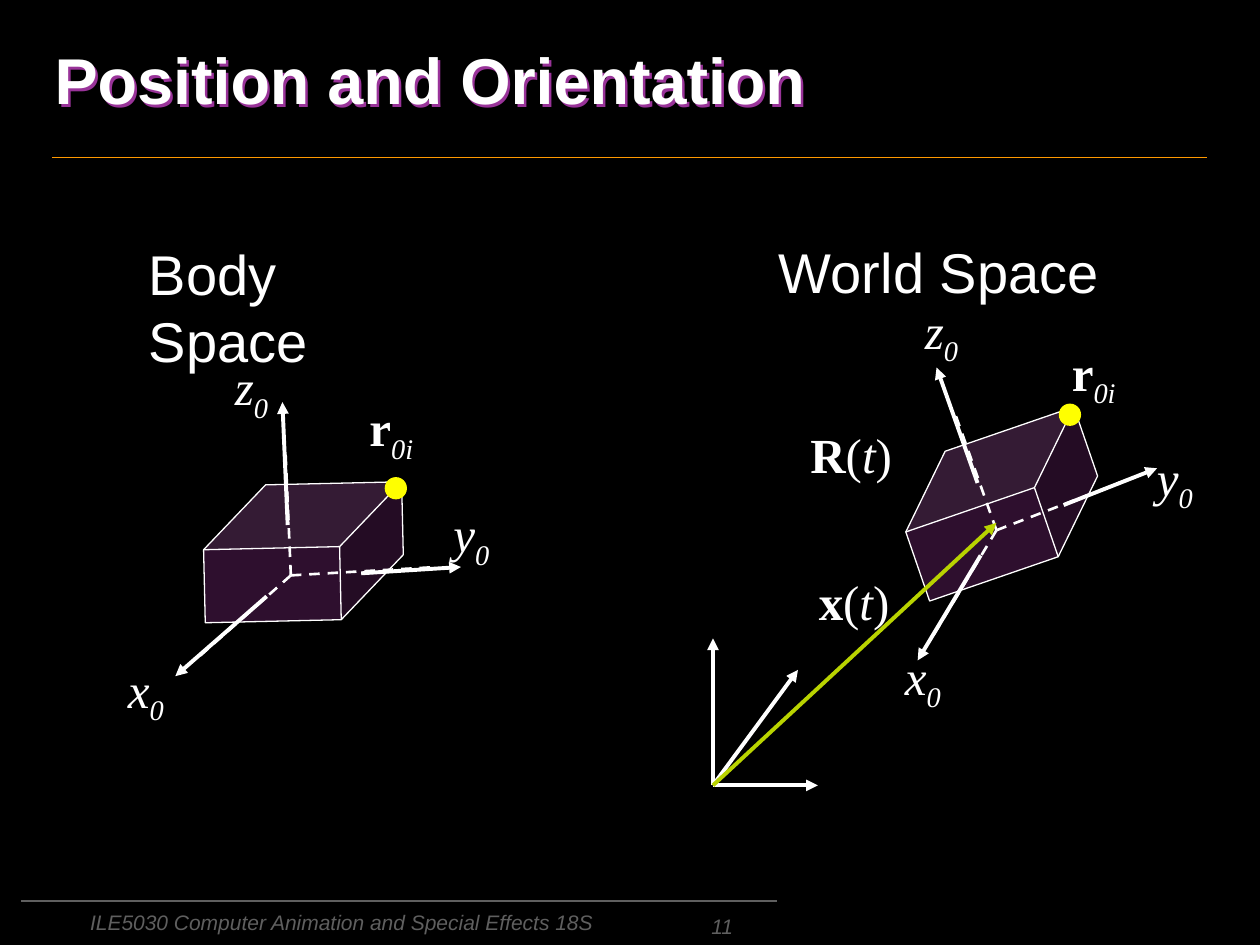
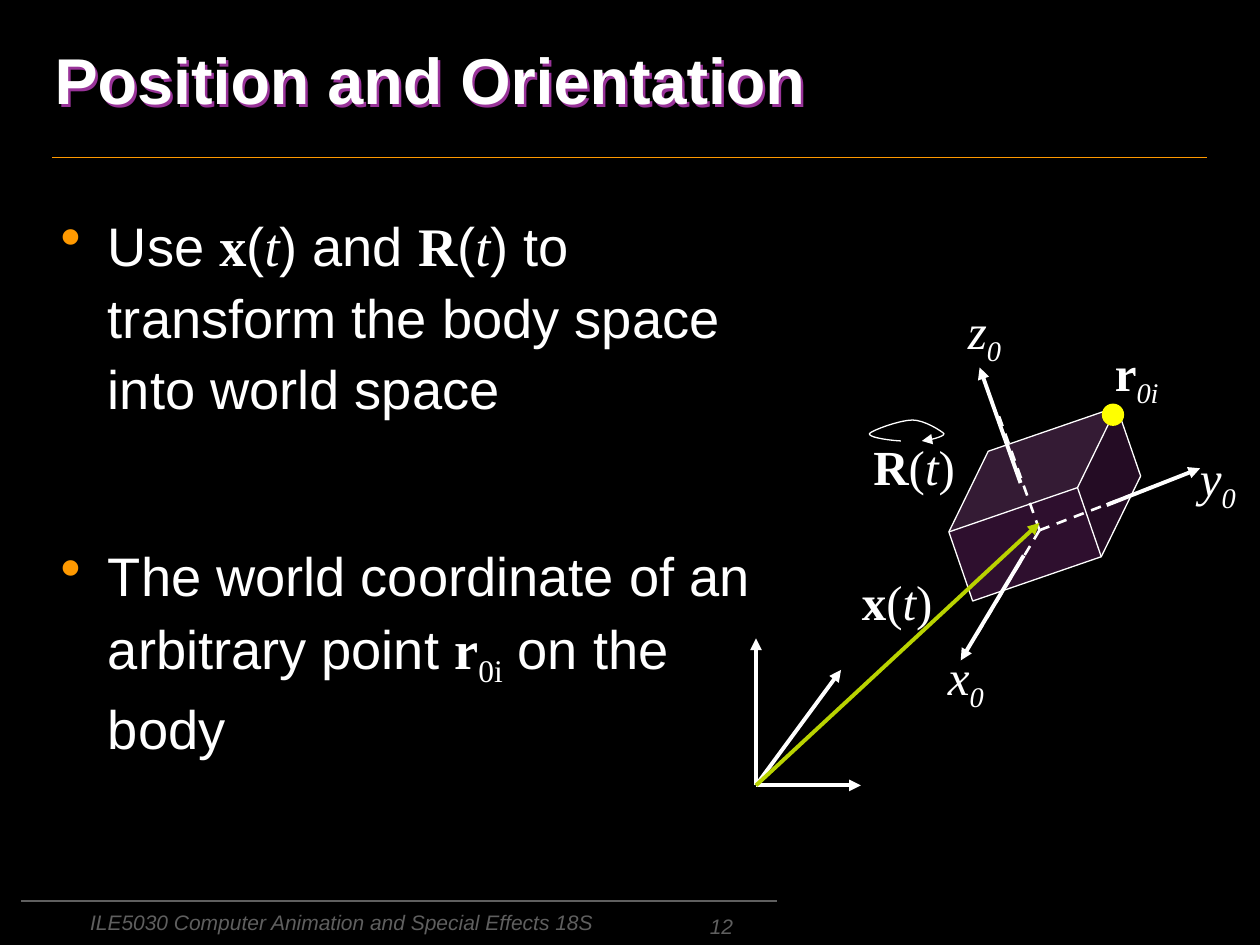
"""Builds two slides on position and orientation, laid out on a grid of 120 columns by 90 rows."""
from lxml.etree import SubElement
from pptx import Presentation
from pptx.dml.color import RGBColor
from pptx.enum.dml import MSO_LINE
from pptx.enum.shapes import MSO_CONNECTOR, MSO_SHAPE
from pptx.enum.text import MSO_ANCHOR, PP_ALIGN
from pptx.oxml.ns import qn
from pptx.util import Inches, Pt


class Theme:
    """Colours, type sizes and run formats."""
    back, ink, gold, grey = "000000", "FFFFFF", "FF9900", "5F5F5F"
    plum, lime, sun = "993399", "B9D300", "FFFF00"
    title, head, body, label, foot = 37, 32, 31, 28, 12
    runs = {
        "sans": {"name": "Arial"},
        "strong": {"name": "Arial", "bold": True},
        "slant": {"name": "Arial", "italic": True},
        "serif": {"name": "Times New Roman"},
        "vec": {"name": "Times New Roman", "bold": True},
        "var": {"name": "Times New Roman", "italic": True},
        "sub": {"name": "Times New Roman", "italic": True},
        "low": {"name": "Times New Roman"},
    }


prs = Presentation()
prs.slide_width, prs.slide_height = Inches(10), Inches(7.5)
unit = prs.slide_width // 120


def put(shape, box, paras, size, tint=Theme.ink, **frame):
    """Place a shape at a grid box and fill it with paragraphs of (text, format) runs."""
    for key, cell in zip(("left", "top", "width", "height"), box):
        setattr(shape, key, int(unit * cell))
    text = shape.text_frame
    for key, value in frame.items():
        setattr(text, key, value)
    for i, runs in enumerate(paras):
        para = text.add_paragraph() if i else text.paragraphs[0]
        para.alignment = PP_ALIGN.LEFT
        for words, kind in runs:
            run = para.add_run()
            run.text = words
            run.font.size = Pt(size)
            run.font.color.rgb = RGBColor.from_string(tint)
            for key, value in Theme.runs[kind].items():
                setattr(run.font, key, value)
            if kind in ("sub", "low"):
                run.font._element.set("baseline", "-25000")
    return shape


def draw(slide, start, end, tint=Theme.ink, width=2.25, dash=None, tip=True):
    """Draw a straight line between two grid points."""
    ends = [int(unit * v) for v in (*start, *end)]
    wire = slide.shapes.add_connector(MSO_CONNECTOR.STRAIGHT, *ends)
    wire.line.color.rgb = RGBColor.from_string(tint)
    wire.line.width = Pt(width)
    if dash:
        wire.line.dash_style = dash
    if tip:
        SubElement(wire.line._get_or_add_ln(), qn("a:tailEnd"), type="triangle")
    SubElement(wire._element.spPr, qn("a:effectLst"))


fill = prs.slide_master.background.fill
fill.solid()
fill.fore_color.rgb = RGBColor.from_string(Theme.back)

world = {
    "cube": (85.9, 41.5), "turn": -19, "dot": (100.9, 38.5), "mid": (94.9, 50.5),
    "dashes": [(88.9, 60.5), (107.9, 45.5), (91, 39.5)],
    "arrows": [((93.4, 52.9), (87.4, 62.9)), ((101.3, 48.1), (110.2, 44.6)),
               ((93.1, 46), (89.2, 35))],
    "names": [(85, 61), (109, 42), (86.9, 28), (100.9, 32)],
}
local = {
    "cube": (19.4, 46.1), "turn": -1.3, "dot": (36.7, 45.5), "mid": (27.7, 54.8),
    "dashes": [(19, 62.5), (41.6, 54), (27.2, 43.2)],
    "arrows": [((25.4, 56.8), (16.7, 64.4)), ((34.4, 54.6), (43.9, 54)),
               ((27.4, 50), (26.9, 38.3))],
    "names": [(11, 62.2), (42, 47.4), (21.2, 33.4), (34, 37.3)],
}
marks = [("x", "var", "0", 6.1), ("y", "var", "0", 6.1),
         ("z", "var", "0", 5.8), ("r", "vec", "0i", 7)]
root, goal = (67.9, 74.8), (94.9, 49.8)
axes = [(67.9, 60.8), (77.9, 74.8), (76, 63.8)]
arg = [("(", "serif"), ("t", "var"), (")", "serif")]

pages = [("11", 0, (76, 39.8), [world, local]), ("12", 4.1, (82, 41), [world])]
slides = []
for page, shift, spin, solids in pages:
    slide = prs.slides.add_slide(prs.slide_layouts[5])
    slides.append(slide)
    shapes = slide.shapes
    draw(slide, (5, 15), (115, 15), Theme.gold, 1, tip=False)
    draw(slide, (2, 85.8), (74, 85.8), Theme.grey, 1, tip=False)
    put(shapes.add_textbox(0, 0, 0, 0), (7.4, 86, 59.6, 4),
        [[("ILE5030 Computer Animation and Special Effects 18S", "slant")]],
        Theme.foot, Theme.grey, word_wrap=True)
    count = put(shapes.add_textbox(0, 0, 0, 0), (43, 86.8, 28, 3.2), [[(page, "slant")]],
                Theme.foot, Theme.grey, word_wrap=True, vertical_anchor=MSO_ANCHOR.BOTTOM)
    count.text_frame.paragraphs[0].alignment = PP_ALIGN.RIGHT
    title = put(shapes.title, (4, 0, 88, 15), [[("Position and Orientation", "strong")]],
                Theme.title, vertical_anchor=MSO_ANCHOR.MIDDLE)
    glow = SubElement(title._element.spPr, qn("a:effectLst"))
    cast = SubElement(glow, qn("a:outerShdw"), dist="25400", dir="2700000", algn="ctr")
    SubElement(cast, qn("a:srgbClr"), val=Theme.plum)

    for solid in solids:
        parts = [(MSO_SHAPE.CUBE, solid["cube"], (19, 13), Theme.plum, Theme.ink),
                 (MSO_SHAPE.OVAL, solid["dot"], (2, 2), Theme.sun, Theme.sun)]
        for kind, (x, y), size, tint, edge in parts:
            part = shapes.add_shape(kind, *[int(unit * v) for v in (x + shift, y, *size)])
            part.shadow.inherit = False
            part.fill.solid()
            part.fill.fore_color.rgb = RGBColor.from_string(tint)
            part.line.color.rgb = RGBColor.from_string(edge)
            part.line.width = Pt(0.75)
            if kind == MSO_SHAPE.CUBE:
                part.rotation = solid["turn"]
                part.adjustments[0] = 0.465
                shade = part._element.spPr.find(qn("a:solidFill"))[0]
                SubElement(shade, qn("a:alpha"), val="30000")
                mid = solid["mid"]
                for x, y in solid["dashes"]:
                    draw(slide, (mid[0] + shift, mid[1]), (x + shift, y),
                         width=1.5, dash=MSO_LINE.DASH, tip=False)
                for (x, y), (u, v) in solid["arrows"]:
                    draw(slide, (x + shift, y), (u + shift, v))
        for (name, kind, low, wide), (x, y) in zip(marks, solid["names"]):
            put(shapes.add_textbox(0, 0, 0, 0), (x + shift, y, wide, 6.8),
                [[(name, kind), (low, "sub")]], Theme.label, word_wrap=False)

    for x, y in axes:
        draw(slide, (root[0] + shift, root[1]), (x + shift, y))
    draw(slide, (root[0] + shift, root[1]), (goal[0] + shift, goal[1]), Theme.lime)
    for name, (x, y), wide in [("x", (76.8 + shift, 53.8), 9.1), ("R", spin, 10.2)]:
        put(shapes.add_textbox(0, 0, 0, 0), (x, y, wide, 6.8),
            [[(name, "vec"), *arg]], Theme.label, word_wrap=False)

first, second = slides
for words, box, wrap in [("Body Space", (13, 22.2, 24, 14), True),
                         ("World Space", (73, 22, 32.9, 7.6), False)]:
    put(first.shapes.add_textbox(0, 0, 0, 0), box, [[(words, "sans")]],
        Theme.head, word_wrap=wrap)

points = [
    [("Use ", "sans"), ("x", "vec"), ("(", "sans"), ("t", "var"), (") and ", "sans"),
     ("R", "vec"), ("(", "sans"), ("t", "var"),
     (") to transform the body space into world space", "sans")],
    [("The world coordinate of an arbitrary point ", "sans"), ("r", "vec"),
     ("0i", "low"), (" on the body", "sans")],
]
body = put(second.shapes.add_textbox(0, 0, 0, 0), (4.6, 19, 68.4, 66), points,
           Theme.body, word_wrap=True)
for para, gap in zip(body.text_frame.paragraphs, (6, 60)):
    look = {"line_spacing": 1.1, "space_before": Pt(gap), "space_after": Pt(6)}
    for key, value in look.items():
        setattr(para, key, value)
    props = para._p.get_or_add_pPr()
    props.set("marL", str(int(unit * 4.5)))
    props.set("indent", str(int(unit * -4.5)))
    SubElement(SubElement(props, qn("a:buClr")), qn("a:srgbClr"), val=Theme.gold)
    SubElement(props, qn("a:buSzPct"), val="110000")
    SubElement(props, qn("a:buChar"), char="•")

start = (85.8, 42)
bends = [((84.2, 41.9), (82.7, 41.6), (82.8, 41.3)), ((83, 41), (85.7, 40), (86.9, 40)),
         ((88, 40), (89.6, 41), (89.9, 41.3)), ((90, 41.6), (88.2, 42), (87.8, 42))]
trail, last = [], start
for bend in bends:
    for t in [step / 8 for step in range(1, 9)]:
        rates = ((1 - t) ** 3, 3 * t * (1 - t) ** 2, 3 * t ** 2 * (1 - t), t ** 3)
        trail.append([int(unit * sum(r * p[i] for r, p in zip(rates, (last, *bend))))
                      for i in (0, 1)])
    last = bend[-1]
pen = second.shapes.build_freeform(*[int(unit * v) for v in start])
pen.add_line_segments(trail, close=False)
loop = pen.convert_to_shape()
loop.shadow.inherit = False
loop.fill.background()
loop.line.color.rgb = RGBColor.from_string(Theme.ink)
loop.line.width = Pt(0.75)
SubElement(loop.line._get_or_add_ln(), qn("a:tailEnd"), type="triangle")

prs.save("out.pptx")
